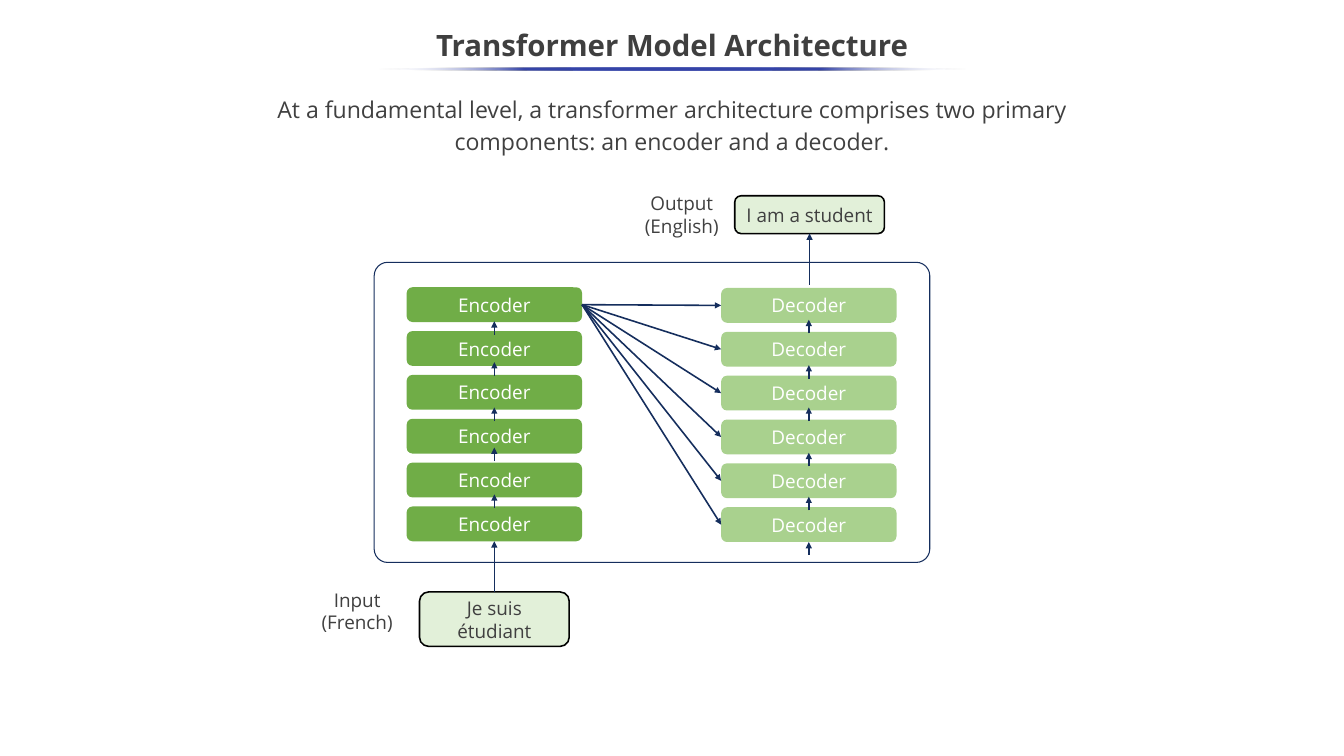
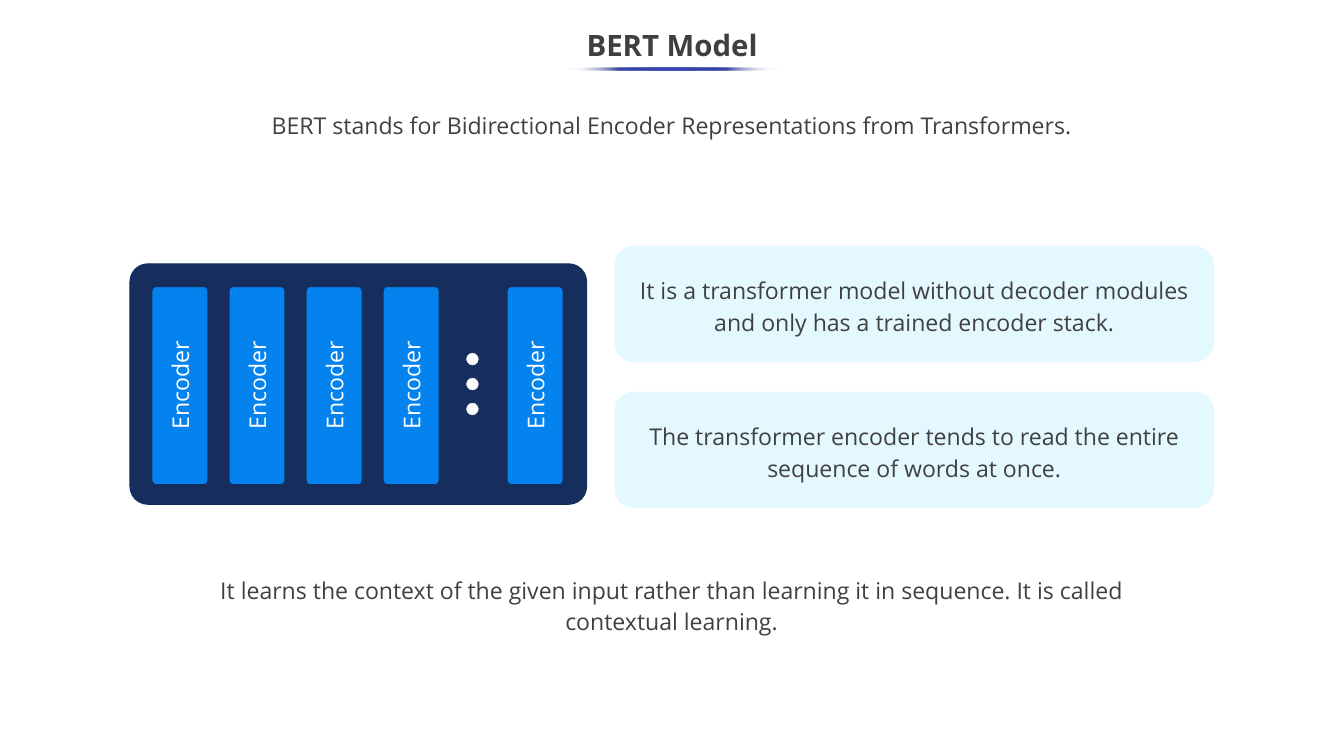
from dataclasses import dataclass

import pptx
import pptx.util
import pptx.dml.color
import pptx.enum.shapes
import pptx.enum.text
import pptx.oxml
import pptx.oxml.ns
from lxml import etree

PX = 9144  # EMU; 100 px to the inch
FONT = "Open Sans"
COLORS = {
    "title": "3F3F3F", "text": "404040", "white": "FFFFFF", "black": "000000",
    "rule": "3645A9", "arrow": "152E5D", "navy": "162E5D", "blue": "0483EF",
    "card": "E4F8FF", "encoder": "70AD47", "decoder": "A9D18E", "label": "E2F0D9",
}
SHAPE = pptx.enum.shapes.MSO_SHAPE
BODY = {"size": 22, "spacing": 1.15}
BLOCK = {"size": 18, "color": "white"}


@dataclass(frozen=True)
class Box:
    x: int
    y: int
    w: int
    h: int
    fill: str | None = None
    line: str | None = None
    line_pt: float = 1
    radius: float | None = None
    shape: int = SHAPE.ROUNDED_RECTANGLE


def px(n: int) -> int:
    return pptx.util.Emu(n * PX)


def rgb(name: str):
    return pptx.dml.color.RGBColor.from_string(COLORS[name])


def write(sp, text: str, *, size: float = 18, color: str = "text", bold: bool = False,
          spacing: float | None = None, vert: str | None = None) -> None:
    """Put centred text in a shape, one paragraph per line."""
    tf = sp.text_frame
    tf.word_wrap = True
    tf.auto_size = pptx.enum.text.MSO_AUTO_SIZE.NONE
    tf.vertical_anchor = pptx.enum.text.MSO_ANCHOR.MIDDLE
    if vert:
        sp.text_frame._txBody.bodyPr.set("vert", vert)
    for i, line in enumerate(text.split("\n")):
        p = tf.add_paragraph() if i else tf.paragraphs[0]
        p.alignment = pptx.enum.text.PP_ALIGN.CENTER
        if spacing:
            p.line_spacing = spacing
        r = p.add_run()
        r.text = line
        r.font.name = FONT
        r.font.size = pptx.util.Pt(size)
        r.font.bold = bold
        r.font.color.rgb = rgb(color)


def add_box(s, box: Box, text: str = "", **fmt):
    sp = s.shapes.add_shape(box.shape, px(box.x), px(box.y), px(box.w), px(box.h))
    sp.shadow.inherit = False
    if box.radius is not None:
        sp.adjustments[0] = box.radius
    if box.fill:
        sp.fill.solid()
        sp.fill.fore_color.rgb = rgb(box.fill)
    else:
        sp.fill.background()
    if box.line:
        sp.line.color.rgb = rgb(box.line)
        sp.line.width = pptx.util.Pt(box.line_pt)
    else:
        sp.line.fill.background()
    if text:
        write(sp, text, **fmt)
    return sp


def add_arrow(s, start: tuple[int, int] = (0, 0), end: tuple[int, int] = (0, 0),
              begin_at=None, end_at=None):
    """Draw an arrow; begin_at and end_at are (shape, side) pairs to join."""
    c = s.shapes.add_connector(pptx.enum.shapes.MSO_CONNECTOR.STRAIGHT,
                               *map(px, start + end))
    if begin_at:
        c.begin_connect(*begin_at)
    if end_at:
        c.end_connect(*end_at)
    c.line.color.rgb = rgb("arrow")
    c.line.width = pptx.util.Pt(1.5)
    qn = pptx.oxml.ns.qn
    etree.SubElement(c.line._get_or_add_ln(), qn("a:tailEnd"), type="triangle")
    etree.SubElement(c._element.spPr, qn("a:effectLst"))
    return c


def add_title_rule(s, width: int) -> None:
    """Draw the thin line under the title, fading out at both ends."""
    qn = pptx.oxml.ns.qn
    sp = add_box(s, Box(889 - width // 2, 89, width, 4, shape=SHAPE.OVAL))
    sp.fill.gradient()
    sp.fill.gradient_angle = 180
    stops = sp._element.spPr.find(qn("a:gradFill")).find(qn("a:gsLst"))
    for stop in list(stops):
        stops.remove(stop)
    for percent in (0, 25, 50, 75, 100):
        faded = percent in (0, 100)
        gs = etree.SubElement(stops, qn("a:gs"), pos=str(percent * 1000))
        color = etree.SubElement(gs, qn("a:srgbClr"),
                                 val=COLORS["white" if faded else "rule"])
        if faded:
            etree.SubElement(color, qn("a:alpha"), val="0")


def add_slide(prs, title: str, rule_width: int):
    s = prs.slides.add_slide(prs.slide_layouts[5])
    sp = s.shapes.title
    sp.left, sp.top, sp.width, sp.height = map(px, (-1, 25, 1780, 75))
    write(sp, title, size=28, color="title", bold=True, spacing=0.9)
    add_title_rule(s, rule_width)
    return s


def add_stack(s, x: int, y: int, name: str, fill: str) -> list:
    return [add_box(s, Box(x, y + 58 * i, 232, 46, fill), name, **BLOCK)
            for i in range(6)]


def build_architecture(prs) -> None:
    s = add_slide(prs, "Transformer Model Architecture", 781)
    add_box(s, Box(289, 110, 1200, 107),
            "At a fundamental level, a transformer architecture comprises two primary "
            "components: an encoder and a decoder.", **BODY)
    encoders = add_stack(s, 538, 380, "Encoder", "encoder")
    decoders = add_stack(s, 954, 381, "Decoder", "decoder")
    for decoder in decoders:
        add_arrow(s, begin_at=(encoders[0], 3), end_at=(decoder, 1))
    add_box(s, Box(495, 347, 735, 397, line="arrow", radius=0.045))

    output = add_box(s, Box(972, 259, 198, 50, "label", "black", 1.5), "I am a student")
    source = add_box(s, Box(555, 783, 198, 72, "label", "black", 1.5), "Je suis étudiant")
    add_box(s, Box(832, 259, 140, 50), "Output (English)")
    add_box(s, Box(387, 783, 171, 50), "Input\n(French)")

    arrow_tips = {654: (425, 479, 539, 592, 654), 1070: (423, 483, 539, 599, 657)}
    for x, tips in arrow_tips.items():
        for y in tips:
            add_arrow(s, (x, y + 18), (x, y))
    add_arrow(s, begin_at=(source, 0), end_at=(encoders[-1], 2))
    add_arrow(s, (1070, 734), end_at=(decoders[-1], 2))
    add_arrow(s, (1071, 377), end_at=(output, 2))


def build_bert(prs) -> None:
    s = add_slide(prs, "BERT Model", 283)
    add_box(s, Box(288, 109, 1201, 107),
            "BERT stands for Bidirectional Encoder Representations from Transformers.",
            **BODY)
    add_box(s, Box(212, 745, 1353, 107),
            "It learns the context of the given input rather than learning it in sequence. "
            "It is called contextual learning.", **BODY)

    add_box(s, Box(172, 349, 604, 318, "navy", "navy", radius=0.074))
    for x in [*range(201, 508, 102), 671]:
        add_box(s, Box(x, 379, 74, 262, "blue", "navy", radius=0.074), "Encoder",
                size=22, color="white", vert="vert270")
    for i in range(3):
        add_box(s, Box(616, 466 + 33 * i, 18, 18, "white", "navy", shape=SHAPE.OVAL))

    facts = ("It is a transformer model without decoder modules and only has a trained "
             "encoder stack.",
             "The transformer encoder tends to read the entire sequence of words at once.")
    for i, fact in enumerate(facts):
        add_box(s, Box(813, 325 + 193 * i, 793, 154, "card"), fact, **BODY)


def main() -> None:
    prs = pptx.Presentation()
    prs.slide_width, prs.slide_height = px(1778), px(1000)
    build_architecture(prs)
    build_bert(prs)
    prs.save("out.pptx")


if __name__ == "__main__":
    main()
